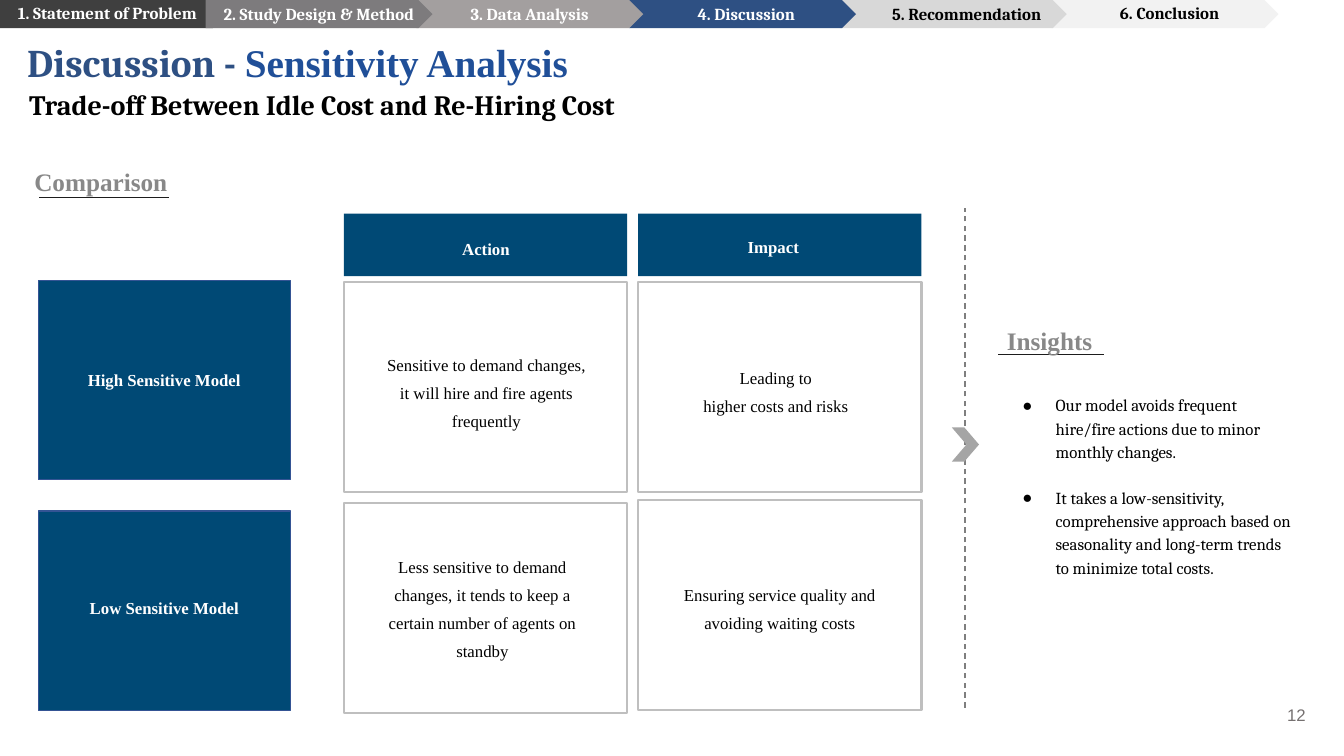
import pptx
import pptx.dml.color
import pptx.enum.dml
import pptx.enum.shapes
import pptx.enum.text
import pptx.oxml
import pptx.oxml.ns
import pptx.util

Inches, Pt = pptx.util.Inches, pptx.util.Pt
RGBColor = pptx.dml.color.RGBColor
SHAPE = pptx.enum.shapes.MSO_SHAPE
ALIGN = pptx.enum.text.PP_ALIGN
ANCHOR = pptx.enum.text.MSO_ANCHOR

WHITE = RGBColor(0xFF, 0xFF, 0xFF)
BLACK = RGBColor(0, 0, 0)
NAVY = RGBColor(0x00, 0x49, 0x75)
NAVY_EDGE = RGBColor(0x34, 0x54, 0x94)
TITLE_BLUE = RGBColor(0x2E, 0x50, 0x83)
TOPIC_BLUE = RGBColor(0x20, 0x4F, 0x98)
HEADING_GRAY = RGBColor(0x88, 0x88, 0x88)
CELL_EDGE = RGBColor(0xBF, 0xBF, 0xBF)
UNDERLINE = RGBColor(0x1D, 0x1D, 0x1D)
DIVIDER = RGBColor(0x7F, 0x7F, 0x7F)
ARROW_GRAY = RGBColor(0xA5, 0xA5, 0xA5)
PAGE_GRAY = RGBColor(0x75, 0x70, 0x70)
STEP_GRAYS = [RGBColor(*[level] * 3) for level in (0x3F, 0xD8, 0xF2)]
STEP_MAUVES = [RGBColor(0x7D, 0x7B, 0x7D), RGBColor(0xA3, 0x9F, 0x9F)]

SERIF, CAMBRIA = "Times New Roman", "Cambria"
LABEL = {"size": Pt(12), "name": SERIF, "bold": True}
CELL = {"size": Pt(12), "name": SERIF, "bold": False}
STEP = {"size": Pt(12), "name": CAMBRIA, "bold": True}
HEADING = {"size": Pt(18), "name": SERIF, "bold": True}
SUBTITLE = {"size": Pt(20), "name": CAMBRIA, "bold": True}
INSIGHT = {"size": Pt(12), "name": CAMBRIA, "bold": False}
PAGE = {"size": Pt(12), "name": "Arial", "bold": False}
TITLE = {"size": Pt(28), "bold": True}
CENTERED = {"alignment": ALIGN.CENTER, "line_spacing": 1.2}
CELL_LINES = {"alignment": ALIGN.CENTER, "line_spacing": 1.38}
LEFT = {"alignment": ALIGN.LEFT}


def assign(target, values):
    for name, value in values.items():
        setattr(target, name, value)


class SlideBuilder:
    def __init__(self, slide):
        self.slide = slide
        self.shapes = slide.shapes

    def shape(self, kind, box, fill=None, edge=None, width=1, adjustment=None):
        shape = self.shapes.add_shape(kind, *map(Inches, box))
        shape.shadow.inherit = False
        if fill is None:
            shape.fill.background()
        else:
            shape.fill.solid()
            shape.fill.fore_color.rgb = fill
        if edge is None:
            shape.line.fill.background()
        else:
            shape.line.color.rgb = edge
            shape.line.width = Pt(width)
        if adjustment is not None:
            shape.adjustments[0] = adjustment

    def line(self, start, end, color, width, dash=None):
        line = self.shapes.add_connector(
            pptx.enum.shapes.MSO_CONNECTOR.STRAIGHT,
            *map(Inches, start + end))
        line.line.color.rgb = color
        line.line.width = Pt(width)
        if dash:
            line.line.dash_style = dash
        line._element.spPr.append(pptx.oxml.parse_xml(
            f"<a:effectLst {pptx.oxml.ns.nsdecls('a')}/>"))

    def frame(self, shape, box, margin=0.05, anchor=ANCHOR.TOP):
        """Place a text shape and return its prepared text frame."""
        assign(shape, dict(zip(("left", "top", "width", "height"),
                               map(Inches, box))))
        frame = shape.text_frame
        assign(frame, {
            "word_wrap": True, "vertical_anchor": anchor,
            "auto_size": pptx.enum.text.MSO_AUTO_SIZE.NONE,
            "margin_left": Inches(0.1), "margin_right": Inches(0.1),
            "margin_top": Inches(margin), "margin_bottom": Inches(margin)})
        return frame

    def style_runs(self, paragraph, font, color):
        for run in paragraph.runs:
            assign(run.font, font)
            run.font.color.rgb = color

    def text(self, text, box, font, color, layout=LEFT, **frame_options):
        shape = self.shapes.add_textbox(*map(Inches, box))
        paragraph = self.frame(shape, box, **frame_options).paragraphs[0]
        paragraph.text = text
        assign(paragraph, layout)
        self.style_runs(paragraph, font, color)

    def title(self, parts, box):
        paragraph = self.frame(self.shapes.title, box).paragraphs[0]
        paragraph.alignment = ALIGN.LEFT
        for text, name, color in parts:
            run = paragraph.add_run()
            run.text = text
            assign(run.font, {**TITLE, "name": name})
            run.font.color.rgb = color

    def bullets(self, items, box, gap):
        frame = self.frame(self.slide.placeholders[1], box, margin=0.1)
        for index, item in enumerate(items):
            paragraph = frame.add_paragraph() if index else frame.paragraphs[0]
            paragraph.text = item
            assign(paragraph, {"line_spacing": 1.15, "alignment": ALIGN.LEFT,
                               "space_before": Pt(gap if index else 0)})
            properties = paragraph._p.get_or_add_pPr()
            properties.set("marL", str(Inches(0.5)))
            properties.set("indent", str(Inches(-0.33)))
            namespace = pptx.oxml.ns.nsdecls("a")
            for bullet in (
                    f'<a:buClr {namespace}><a:srgbClr val="{BLACK}"/></a:buClr>',
                    f'<a:buChar {namespace} char="●"/>'):
                properties.append(pptx.oxml.parse_xml(bullet))
            self.style_runs(paragraph, INSIGHT, BLACK)

    def heading(self, text, box, underline_start, underline_end):
        self.line(underline_start, underline_end, UNDERLINE, 0.75)
        self.text(text, box, HEADING, HEADING_GRAY, CENTERED, margin=0.1)


def add_steps(builder):
    dark, light, pale = STEP_GRAYS
    steps = [  # label, arrow left, label left, label width, fill, text color
        ("1. Statement of Problem", 0, 0.08, 2.04, dark, WHITE),
        ("2. Study Design & Method", 2.04, 2.12, 2.44, STEP_MAUVES[0], WHITE),
        ("3. Data Analysis", 4.13, 4.57, 1.57, STEP_MAUVES[1], WHITE),
        ("4. Discussion", 6.24, 6.82, 1.33, TITLE_BLUE, WHITE),
        ("5. Recommendation", 8.33, 8.75, 1.91, light, BLACK),
        ("6. Conclusion", 10.43, 11.01, 1.4, pale, BLACK),
    ]
    for step in steps[:1] + steps[:0:-1]:
        builder.shape(SHAPE.PENTAGON, (step[1], 0, 2.25, 0.28), step[4],
                      adjustment=0.5)
    for index, (label, _, left, width, _, color) in enumerate(steps):
        top = -0.02 if index in (0, 5) else -0.01
        builder.text(label, (left, top, width, 0.3), STEP, color)


def add_comparison(builder):
    builder.heading("Comparison", (-0.64, 1.49, 3.28, 0.5),
                    (0.39, 1.96), (1.68, 1.96))
    for text, top, text_top in (("High Sensitive Model", 2.78, 3.46),
                                ("Low Sensitive Model", 5.07, 5.72)):
        builder.shape(SHAPE.RECTANGLE, (0.38, top, 2.5, 1.98), NAVY, NAVY_EDGE)
        builder.text(text, (0.77, text_top, 1.72, 0.57), LABEL, WHITE,
                     CENTERED, margin=0.1, anchor=ANCHOR.MIDDLE)
    for text, left, text_left, text_top in (("Action", 3.41, 3.96, 2.16),
                                            ("Impact", 6.33, 6.81, 2.14)):
        builder.shape(SHAPE.RECTANGLE, (left, 2.12, 2.81, 0.62), NAVY)
        builder.text(text, (text_left, text_top, 1.72, 0.57), LABEL, WHITE,
                     CENTERED, margin=0.1, anchor=ANCHOR.MIDDLE)
    cells = [  # text, cell left and top, text left and top
        ("Sensitive to demand changes, it will hire and fire agents frequently",
         3.41, 2.8, 3.7, 3.05),
        ("Less sensitive to demand changes, it tends to keep a certain number "
         "of agents on standby", 3.41, 4.99, 3.66, 5.19),
        ("Leading to\vhigher costs and risks", 6.33, 2.8, 6.57, 3.04),
        ("Ensuring service quality and avoiding waiting costs",
         6.33, 4.96, 6.61, 5.19),
    ]
    for text, left, top, text_left, text_top in cells:
        builder.shape(SHAPE.RECTANGLE, (left, top, 2.81, 2.08),
                      edge=CELL_EDGE, width=1.5)
        builder.text(text, (text_left, text_top, 2.25, 1.62), CELL, BLACK,
                     CELL_LINES, margin=0.1, anchor=ANCHOR.MIDDLE)


def add_insights(builder):
    builder.line((9.57, 7.02), (9.57, 2.06), DIVIDER, 1,
                 pptx.enum.dml.MSO_LINE.DASH)
    builder.shape(SHAPE.CHEVRON, (9.44, 4.24, 0.27, 0.34), ARROW_GRAY,
                  adjustment=0.54)
    builder.heading("Insights", (8.77, 3.07, 3.28, 0.5),
                    (9.9, 3.52), (10.95, 3.52))
    builder.bullets([
        "Our model avoids frequent hire/fire actions due to minor monthly "
        "changes.",
        "It takes a low-sensitivity, comprehensive approach based on "
        "seasonality and long-term trends to minimize total costs.",
    ], (9.87, 3.79, 3.07, 2.23), gap=16.5)


def main():
    presentation = pptx.Presentation()
    presentation.slide_width = Inches(13.33)
    presentation.slide_height = Inches(7.5)
    builder = SlideBuilder(
        presentation.slides.add_slide(presentation.slide_layouts[1]))
    add_steps(builder)
    builder.title([("Discussion - ", CAMBRIA, TITLE_BLUE),
                   ("Sensitivity Analysis", SERIF, TOPIC_BLUE)],
                  (0.17, 0.33, 6.51, 0.57))
    builder.text("Trade-off Between Idle Cost and Re-Hiring Cost",
                 (0.19, 0.82, 12.49, 0.44), SUBTITLE, BLACK)
    add_comparison(builder)
    add_insights(builder)
    builder.text("12", (10.63, 6.94, 2.42, 0.3), PAGE, PAGE_GRAY,
                 {"alignment": ALIGN.RIGHT})
    presentation.save("out.pptx")


if __name__ == "__main__":
    main()
